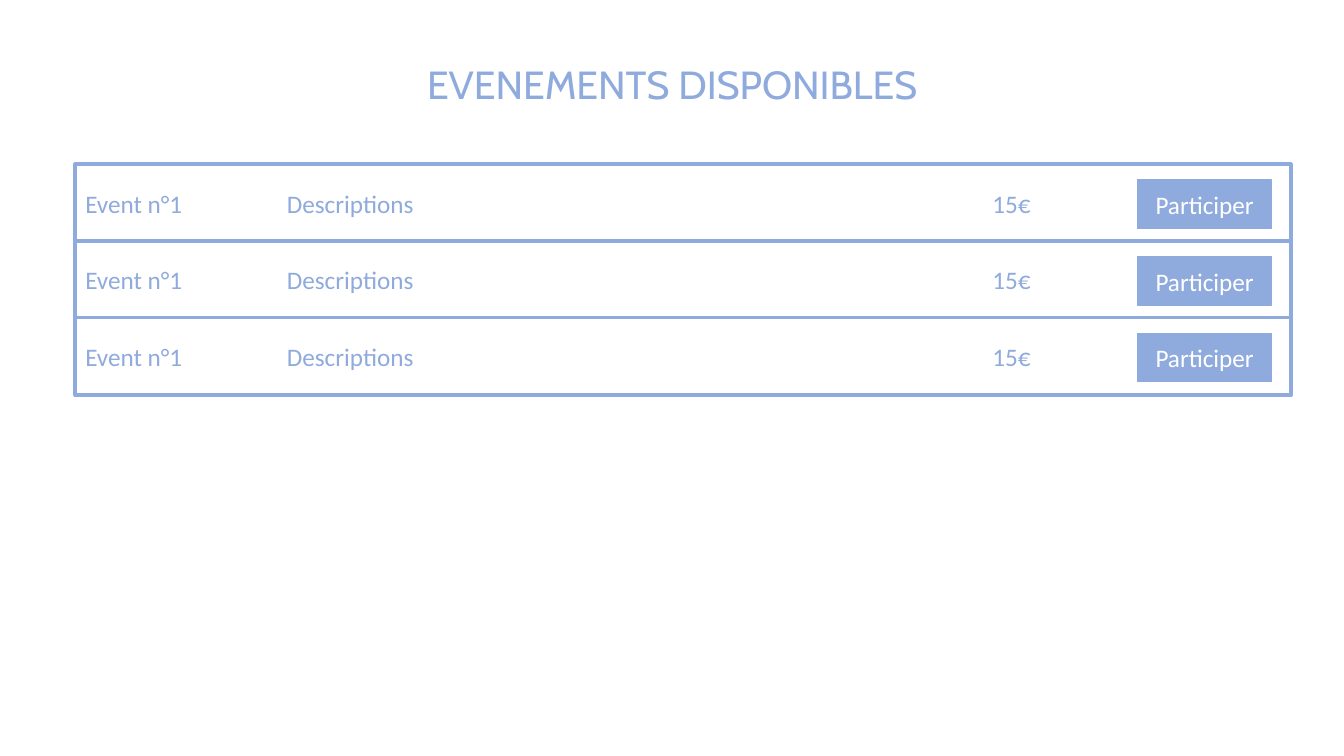
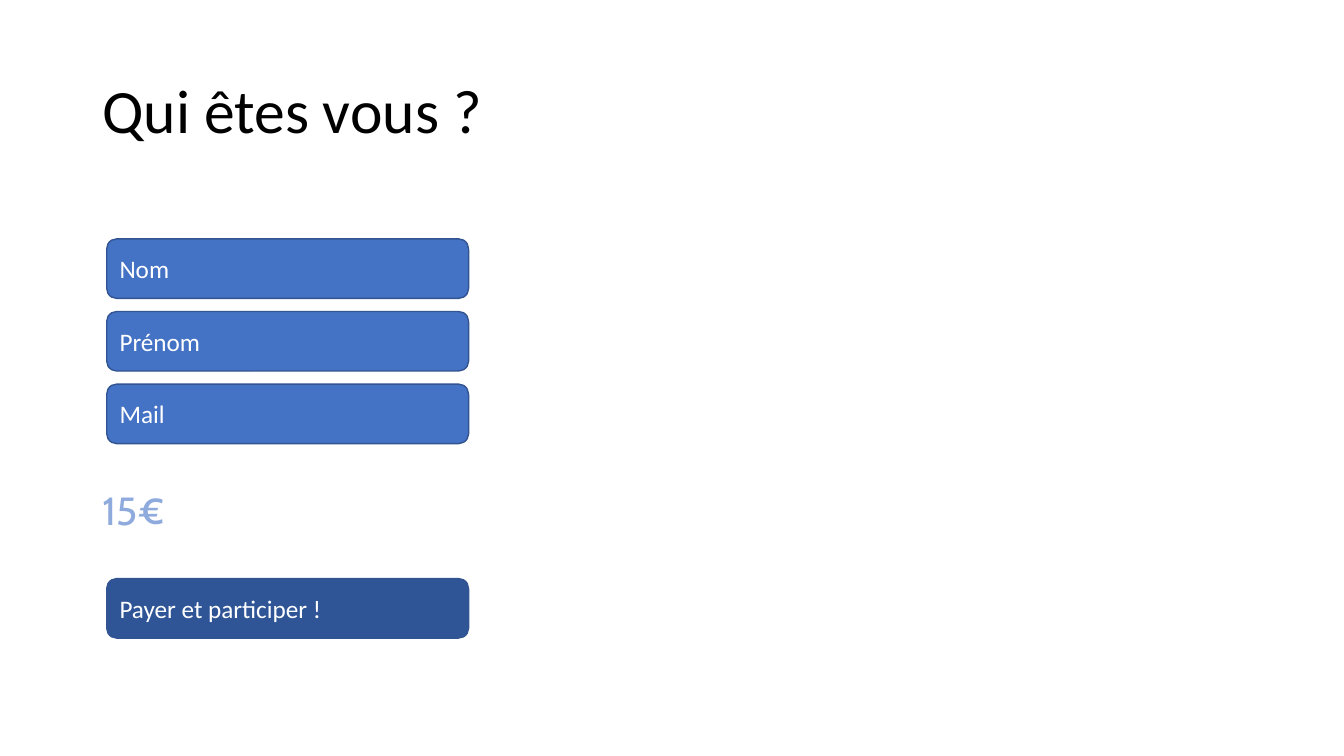
import pptx
import pptx.util
import pptx.dml.color
import pptx.enum.shapes
import pptx.enum.text
import lxml.etree

Cm, Pt = pptx.util.Cm, pptx.util.Pt
SHAPES = pptx.enum.shapes.MSO_SHAPE
ALIGN = pptx.enum.text.PP_ALIGN
ANCHOR = pptx.enum.text.MSO_ANCHOR

# Content
EVENTS_TITLE = "EVENEMENTS DISPONIBLES"
EVENTS = [("Event n°1", "Descriptions ", "15€")] * 3
JOIN_LABEL = "Participer"
FORM_TITLE = "Qui êtes vous ?"
FORM_FIELDS = ["Nom", "Prénom", "Mail"]
PRICE = "15€"
PAY_LABEL = "Payer et participer !"

# Shared style
WHITE, BLACK = "FFFFFF", "000000"
LIGHT_BLUE, BLUE, DARK_BLUE, EDGE_BLUE = "8FAADC", "4472C4", "2F5597", "325491"
BODY_FONT, ACCENT_FONT = "Calibri", "Cabin"
MARGIN, CONTENT_WIDTH = 2.33, 29.21

# Layout in centimetres
ROW_LEFT, ROW_TOP, ROW_WIDTH, ROW_HEIGHT, ROW_PITCH = 1.9, 4.14, 30.63, 1.96, 1.93
COLUMN_STOPS = (5.08, 22.86)
JOIN_LEFT, JOIN_INSET, JOIN_WIDTH, JOIN_HEIGHT = 28.67, 0.4, 3.38, 1.22
FIELD_LEFT, FIELD_TOP, FIELD_WIDTH, FIELD_HEIGHT, FIELD_PITCH = 2.69, 6.02, 9.12, 1.5, 1.83
PAY_TOP = 14.58


def color(hex_code):
    return pptx.dml.color.RGBColor.from_string(hex_code)


def write(shape, text, size, ink, font=BODY_FONT, align=ALIGN.LEFT, anchor=ANCHOR.MIDDLE):
    frame = shape.text_frame
    frame.text = text
    frame.word_wrap = True
    frame.vertical_anchor = anchor
    paragraph = frame.paragraphs[0]
    paragraph.alignment = align
    for run in paragraph.runs:
        run.font.size = Pt(size)
        run.font.name = font
        run.font.color.rgb = color(ink)
    return paragraph


def add_heading(slide, text, top, height, size, ink, font, spacing,
                align=ALIGN.LEFT, anchor=ANCHOR.TOP):
    heading = slide.shapes.add_textbox(Cm(MARGIN), Cm(top), Cm(CONTENT_WIDTH), Cm(height))
    write(heading, text, size, ink, font, align, anchor).line_spacing = spacing


def add_box(slide, kind, text, left, top, width, height, fill, edge,
            edge_width=1, ink=WHITE, align=ALIGN.LEFT):
    box = slide.shapes.add_shape(kind, Cm(left), Cm(top), Cm(width), Cm(height))
    box.shadow.inherit = False
    box.fill.solid()
    box.fill.fore_color.rgb = color(fill)
    box.line.color.rgb = color(edge)
    box.line.width = Pt(edge_width)
    return write(box, text, 18, ink, align=align)


def set_tab_stops(paragraph, stops):
    ns = "{http://schemas.openxmlformats.org/drawingml/2006/main}"
    properties = paragraph._p.get_or_add_pPr()
    tab_list = lxml.etree.SubElement(properties, ns + "tabLst")
    for stop in stops:
        lxml.etree.SubElement(tab_list, ns + "tab", pos=str(int(Cm(stop))), algn="l")


deck = pptx.Presentation()
deck.slide_width, deck.slide_height = Cm(33.87), Cm(19.05)
blank = deck.slide_layouts[6]

# Slide 1: list of events
events_slide = deck.slides.add_slide(blank)
add_heading(events_slide, EVENTS_TITLE, 1.63, 1.32, 28, LIGHT_BLUE, ACCENT_FONT, 0.8, ALIGN.CENTER)
for index, event in enumerate(EVENTS):
    top = ROW_TOP + index * ROW_PITCH
    event_line = add_box(events_slide, SHAPES.RECTANGLE, "\t".join(event), ROW_LEFT, top,
                         ROW_WIDTH, ROW_HEIGHT, WHITE, LIGHT_BLUE, 2.75, LIGHT_BLUE)
    set_tab_stops(event_line, COLUMN_STOPS)
    add_box(events_slide, SHAPES.RECTANGLE, JOIN_LABEL, JOIN_LEFT, top + JOIN_INSET,
            JOIN_WIDTH, JOIN_HEIGHT, LIGHT_BLUE, LIGHT_BLUE, align=ALIGN.CENTER)

# Slide 2: registration form
form_slide = deck.slides.add_slide(blank)
add_heading(form_slide, FORM_TITLE, 1.02, 3.68, 44, BLACK, BODY_FONT, 0.9, anchor=ANCHOR.MIDDLE)
add_heading(form_slide, PRICE, 12.27, 1.32, 28, LIGHT_BLUE, ACCENT_FONT, 0.9)
form_boxes = [(label, FIELD_TOP + index * FIELD_PITCH, BLUE)
              for index, label in enumerate(FORM_FIELDS)]
form_boxes.append((PAY_LABEL, PAY_TOP, DARK_BLUE))
for label, top, fill in form_boxes:
    add_box(form_slide, SHAPES.ROUNDED_RECTANGLE, label, FIELD_LEFT, top,
            FIELD_WIDTH, FIELD_HEIGHT, fill, EDGE_BLUE)

deck.save("out.pptx")
